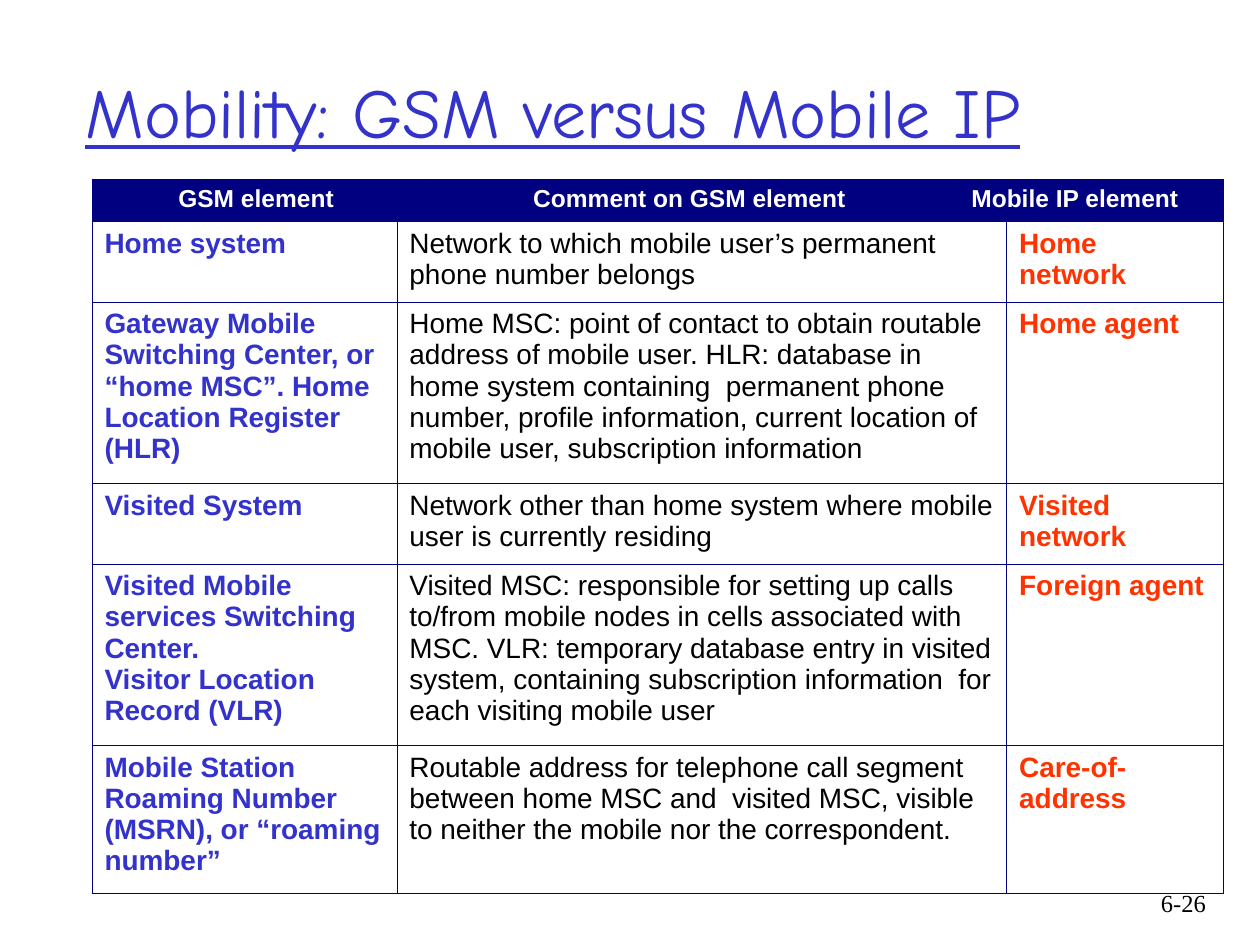
"""Build a slide with a table that compares GSM mobility with Mobile IP."""
from lxml.etree import SubElement
from pptx import Presentation
from pptx.dml.color import RGBColor
from pptx.enum.text import MSO_ANCHOR, PP_ALIGN
from pptx.oxml.ns import qn
from pptx.util import Inches, Pt


def color(value):
    return RGBColor.from_string(value)


def write(frame, text, style, ink, align=PP_ALIGN.LEFT):
    frame.word_wrap = True
    frame.text = text
    for paragraph in frame.paragraphs:
        paragraph.alignment = align
        for key, value in style.items():
            setattr(paragraph.font, key, value)
        paragraph.font.color.rgb = color(ink)


NAVY, BLUE, RED, BLACK, WHITE = "000080", "3333CC", "FF3300", "000000", "FFFFFF"
TITLE = {"name": "Comic Neue", "size": Pt(40), "underline": True}
NUMBER = {"name": "Times New Roman", "size": Pt(14)}
HEADING = {"name": "Arial", "size": Pt(14), "bold": True}
TERM = {"name": "Arial", "size": Pt(16), "bold": True}
COMMENT = TERM | {"bold": False}

headings = [
    (0, 1, "GSM element ", PP_ALIGN.CENTER),
    (2, 2, "Comment on GSM element ", PP_ALIGN.CENTER),
    (3, 4, "Mobile IP element", PP_ALIGN.LEFT),
]
comparisons = [
    ("Home system",
     "Network to which mobile user’s permanent phone number belongs",
     "Home network"),
    ("Gateway Mobile Switching Center, or “home MSC”. Home Location Register (HLR)",
     "Home MSC: point of contact to obtain routable address of mobile user. "
     "HLR: database in home system containing  permanent phone number, profile "
     "information, current location of mobile user, subscription information",
     "Home agent"),
    ("Visited System",
     "Network other than home system where mobile user is currently residing",
     "Visited network"),
    ("Visited Mobile services Switching Center.\nVisitor Location Record (VLR)",
     "Visited MSC: responsible for setting up calls to/from mobile nodes in cells "
     "associated with MSC. VLR: temporary database entry in visited system, "
     "containing subscription information  for each visiting mobile user",
     "Foreign agent"),
    ("Mobile Station Roaming Number (MSRN), or “roaming number”",
     "Routable address for telephone call segment between home MSC and  visited "
     "MSC, visible to neither the mobile nor the correspondent.",
     "Care-of-address"),
]
widths = [2.42, 0.24, 4.22, 0.38, 1.72]
heights = [0.34, 0.64, 1.44, 0.64, 1.44, 1.17]

deck = Presentation()
deck.slide_width, deck.slide_height = Inches(10), Inches(7.5)
slide = deck.slides.add_slide(deck.slide_layouts[6])

number = slide.shapes.add_textbox(Inches(8.93), Inches(7), Inches(0.74), Inches(0.5))
write(number.text_frame, "6-26", NUMBER, BLACK, PP_ALIGN.RIGHT)

title = slide.shapes.add_textbox(Inches(0.58), Inches(0.25), Inches(8.5), Inches(1.25))
title.text_frame.vertical_anchor = MSO_ANCHOR.MIDDLE
write(title.text_frame, "Mobility: GSM versus Mobile IP", TITLE, BLUE)

table = slide.shapes.add_table(
    len(heights), len(widths), Inches(0.73), Inches(1.42),
    Inches(sum(widths)), Inches(sum(heights))).table
table.first_row = table.horz_banding = False
for column, width in zip(table.columns, widths):
    column.width = Inches(width)
for row, height in zip(table.rows, heights):
    row.height = Inches(height)

for cell in table.iter_cells():
    properties = cell._tc.get_or_add_tcPr()
    for side in ("a:lnL", "a:lnR", "a:lnT", "a:lnB"):
        border = SubElement(properties, qn(side), w=str(Pt(0.45)))
        SubElement(SubElement(border, qn("a:solidFill")), qn("a:srgbClr"), val=NAVY)
    cell.fill.background()

for first, last, heading, align in headings:
    cell = table.cell(0, first)
    if last > first:
        cell.merge(table.cell(0, last))
    for position in range(first, last + 1):
        header = table.cell(0, position)
        header.fill.solid()
        header.fill.fore_color.rgb = color(NAVY)
    write(cell.text_frame, heading, HEADING, WHITE, align)

for index, (element, comment, counterpart) in enumerate(comparisons, 1):
    table.cell(index, 1).merge(table.cell(index, 3))
    write(table.cell(index, 0).text_frame, element, TERM, BLUE)
    write(table.cell(index, 1).text_frame, comment, COMMENT, BLACK)
    write(table.cell(index, 4).text_frame, counterpart, TERM, RED)

deck.save("out.pptx")
